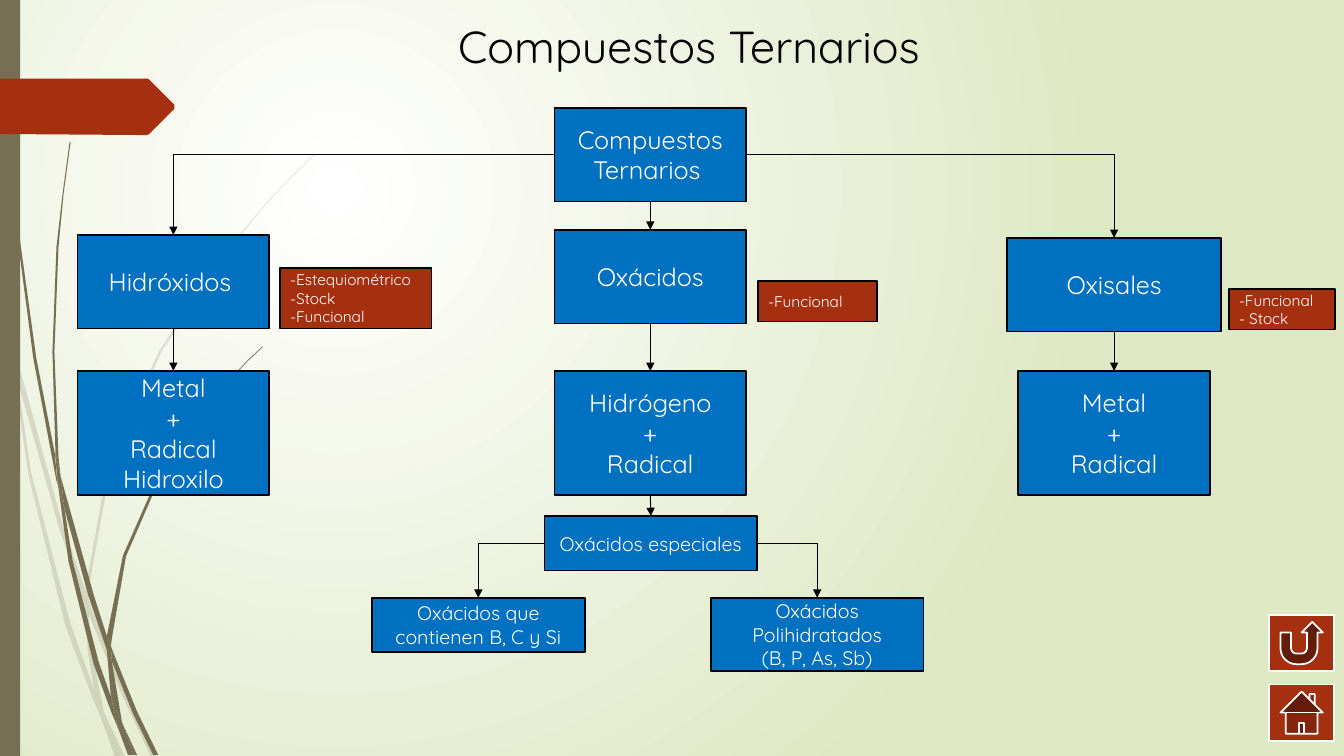
from lxml import etree
from pptx import Presentation
from pptx.dml.color import RGBColor
from pptx.enum.dml import MSO_LINE
from pptx.enum.shapes import MSO_CONNECTOR, MSO_SHAPE
from pptx.enum.text import MSO_ANCHOR, MSO_AUTO_SIZE, PP_ALIGN
from pptx.oxml.ns import qn
from pptx.util import Pt

PX = 9144  # one px is a hundredth of an inch
RECT = MSO_SHAPE.RECTANGLE
HOME = MSO_SHAPE.ACTION_BUTTON_HOME
BACK = MSO_SHAPE.ACTION_BUTTON_RETURN
LINE, ELBOW = MSO_CONNECTOR.STRAIGHT, MSO_CONNECTOR.ELBOW
LEFT, CENTER = PP_ALIGN.LEFT, PP_ALIGN.CENTER
TOP, MIDDLE = MSO_ANCHOR.TOP, MSO_ANCHOR.MIDDLE
SOLID = MSO_LINE.SOLID
FONT = "Quicksand"
BLUE, RED, BROWN = "0070C0", "A53010", "766F54"
BLACK, WHITE, LIME = "000000", "FFFFFF", "DFE8C4"

# Outlines of the grass blades, one piece a line, as x,y pairs
FADED = """
11,350 9,322 0,282 0,299 10,344
58,522 84,599 85,586 62,520 14,345 17,376
92,607 88,596 88,610 123,694 150,751 155,751 127,692
119,751 124,751 105,711
93,683 70,619 31,469 17,376 11,350 28,470 65,621 92,693 101,714 99,707
84,599 87,646 93,683 96,692 105,711 103,706 91,646 88,610 88,608
88,584 110,462 160,349 229,245 268,198 290,175 312,154 312,153 289,175 \
268,197 228,244 158,348 107,461 85,584 85,586 88,596
101,714 114,751 119,751
88,608 88,610 88,596 85,586 84,599
96,692 93,683 99,707 101,714 119,751 105,711
"""
DARK = """
7,110 17,233 33,355 56,477 57,481 55,457 55,453 36,355 19,232 8,109 5,48 4,0 \
3,0 4,48
88,592 106,645 106,633 106,631 93,590 60,472 64,505
113,649 110,641 111,656 132,708 152,749 157,749 136,706
110,691 98,657 72,556 64,505 57,477 68,557 93,659 111,708 117,722 116,717
60,472 58,453 54,349 58,245 63,193 70,141 69,141 62,193 56,245 52,349 55,449
133,749 136,749 122,719
57,477 64,505 60,472 55,449 55,453
111,633 125,552 158,476 205,406 231,374 245,359 261,344 260,344 245,358 \
231,373 204,405 156,474 122,551 106,631 110,641
117,722 127,749 131,749
106,645 110,691 116,706 122,719 121,716 111,656 109,651
106,645 109,651 111,656 110,641 106,631 106,633
116,706 110,691 116,717 117,722 130,749 133,749 122,719
"""
FLAG = "173,108 148,133 146,134 136,134 0,133 0,78 136,78 146,78 148,79 173,104"


def color(text):
    return RGBColor.from_string(text)


def write(shape, text, size=18, ink=WHITE, align=CENTER, anchor=MIDDLE):
    frame = shape.text_frame
    frame.text = text
    frame.word_wrap = True
    frame.auto_size = MSO_AUTO_SIZE.NONE
    frame.vertical_anchor = anchor
    for para in frame.paragraphs:
        para.alignment = align
        para.font.size = Pt(size)
        para.font.name = FONT
        para.font.color.rgb = color(ink)


def paint(shape, fill, edge=None):
    shape.shadow.inherit = False
    shape.fill.solid()
    shape.fill.fore_color.rgb = color(fill)
    if edge:
        shape.line.color.rgb = color(edge)
        shape.line.width = Pt(1.25)
    else:
        shape.line.fill.background()


def form(slide, kind, place, fill, edge=None):
    shape = slide.shapes.add_shape(kind, *(n * PX for n in place))
    paint(shape, fill, edge)
    return shape


def box(slide, place, text, fill=BLUE, **style):
    shape = form(slide, RECT, place, fill, BLACK)
    write(shape, text, **style)
    return shape


def note(slide, place, text):
    return box(slide, place, text, fill=RED, size=11, align=LEFT)


def join(slide, start, side, end):
    """Arrow from a side of start to the top of end, with one bend from a flank."""
    bent = side in (1, 3)
    link = slide.shapes.add_connector(ELBOW if bent else LINE, 0, 0, 0, 0)
    link.begin_connect(start, side)
    link.end_connect(end, 0)
    link.line.color.rgb = color(BLACK)
    link.line.width = Pt(0.75)
    link.line.dash_style = SOLID
    props = link._element.spPr
    if bent:
        props.find(qn("a:prstGeom")).set("prst", "bentConnector2")
    etree.SubElement(props.find(qn("a:ln")), qn("a:tailEnd"), type="triangle")
    etree.SubElement(props, qn("a:effectLst"))


def trace(parent, text, fill, alpha=None):
    """Closed outline through the x,y pairs in text."""
    points = [tuple(map(int, pair.split(","))) for pair in text.split()]
    pen = parent.shapes.build_freeform(*points[0], scale=PX)
    pen.add_line_segments(points[1:])
    shape = pen.convert_to_shape()
    paint(shape, fill)
    if alpha:
        tint = shape._element.spPr.find(".//" + qn("a:srgbClr"))
        etree.SubElement(tint, qn("a:alpha"), val=str(alpha * 1000))


def backdrop(slide):
    fill = slide.background.fill
    fill.gradient()
    for stop, ink, spot in zip(fill.gradient_stops, (WHITE, LIME), (0, 1)):
        stop.color.rgb = color(ink)
        stop.position = spot
    line = slide._element.find(".//" + qn("a:lin"))
    ring = etree.Element(qn("a:path"), path="circle")
    etree.SubElement(ring, qn("a:fillToRect"),
                     l="50000", t="50000", r="100000", b="100000")
    line.getparent().replace(line, ring)
    for blades, alpha in ((FADED, 20), (DARK, None)):
        tuft = slide.shapes.add_group_shape()
        for text in blades.strip().splitlines():
            trace(tuft, text, BROWN, alpha)
    form(slide, RECT, (0, 0, 20, 750), BROWN)
    trace(slide, FLAG, RED)


def main():
    deck = Presentation()
    deck.slide_width, deck.slide_height = 1333 * PX, 750 * PX
    slide = deck.slides.add_slide(deck.slide_layouts[5])
    backdrop(slide)

    title = slide.shapes.title
    title.left, title.top, title.width, title.height = (
        n * PX for n in (154, 14, 1059, 192))
    write(title, "Compuestos Ternarios", size=32, ink=BLACK, anchor=TOP)

    root = box(slide, (550, 107, 190, 93), "Compuestos Ternarios ")
    groups = [
        ((77, 233, 190, 93), "Hidróxidos ", 77, "Metal\n+\nRadical Hidroxilo", 1),
        ((550, 228, 190, 93), "Oxácidos", 550, "Hidrógeno\n+\nRadical", 2),
        ((999, 236, 212, 93), "Oxisales", 1010, "Metal\n+\nRadical", 3),
    ]
    parts = []
    for place, name, left, text, side in groups:
        head = box(slide, place, name)
        part = box(slide, (left, 368, 190, 123), text)
        join(slide, root, side, head)
        join(slide, head, 2, part)
        parts.append(part)

    note(slide, (278, 266, 150, 60), "-Estequiométrico\n-Stock\n-Funcional")
    note(slide, (752, 279, 118, 40), "-Funcional")
    note(slide, (1219, 287, 105, 40), "-Funcional\n- Stock")

    special = box(slide, (540, 512, 211, 54), "Oxácidos especiales", size=14)
    join(slide, parts[1], 2, special)
    for place, text, side in [
        ((369, 593, 211, 54), "Oxácidos que contienen B, C y Si", 1),
        ((705, 593, 211, 73), "Oxácidos Polihidratados\n(B, P, As, Sb)", 3),
    ]:
        join(slide, special, side, box(slide, place, text, size=14))

    form(slide, BACK, (1259, 610, 64, 56), RED, WHITE)
    form(slide, HOME, (1259, 679, 64, 56), RED, WHITE)
    deck.save("out.pptx")


if __name__ == "__main__":
    main()
